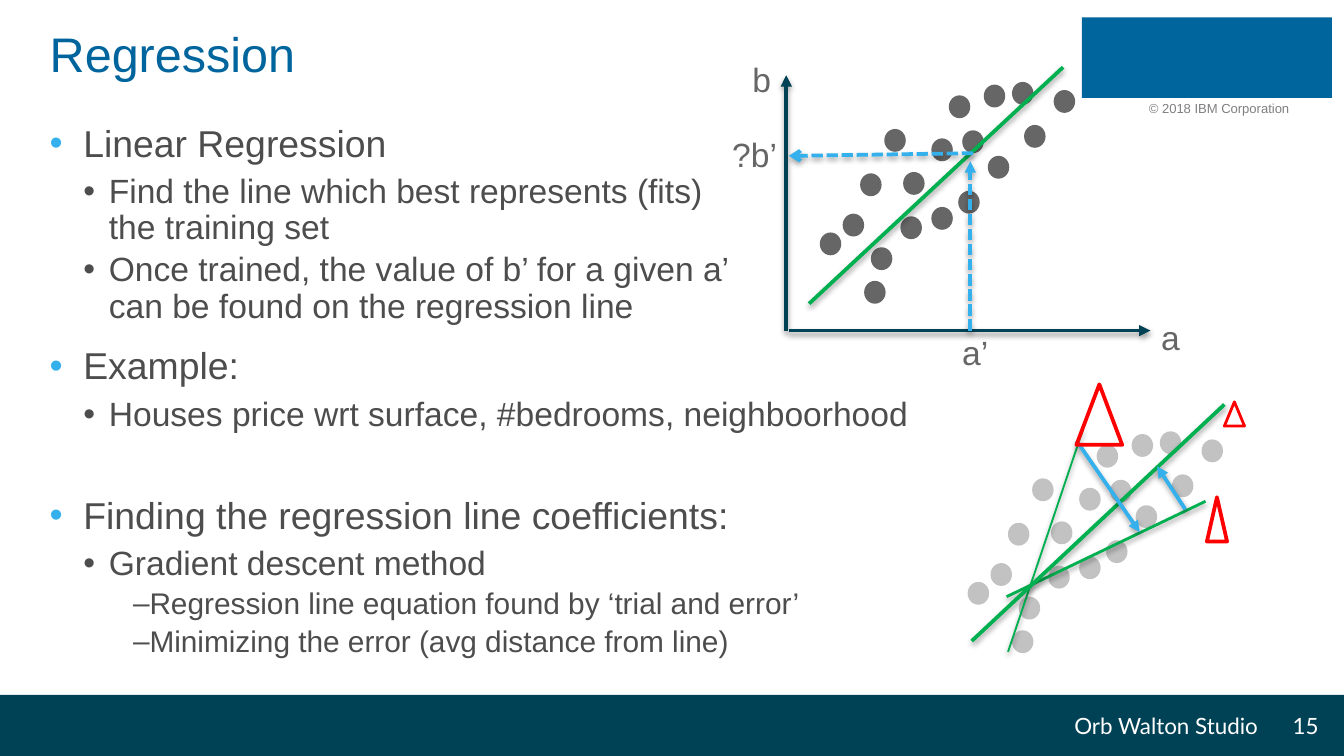
import pptx
import pptx.util
import pptx.dml.color
import pptx.enum.dml
import pptx.enum.shapes
import pptx.enum.text
import pptx.oxml
import pptx.oxml.ns

RGB = pptx.dml.color.RGBColor
SHAPE = pptx.enum.shapes.MSO_SHAPE
ALIGN = pptx.enum.text.PP_ALIGN
ANCHOR = pptx.enum.text.MSO_ANCHOR
DASHED = pptx.enum.dml.MSO_LINE.SQUARE_DOT

EMU_PER_PX = 9144
BLUE = RGB(0x00, 0x64, 0x9D)
NAVY = RGB(0x00, 0x42, 0x55)
SKY = RGB(0x34, 0xB1, 0xEC)
GREEN = RGB(0x00, 0xB0, 0x50)
RED = RGB(0xFF, 0x00, 0x00)
WHITE = RGB(0xFF, 0xFF, 0xFF)
BODY_GRAY = RGB(0x4D, 0x4D, 0x4D)
DARK_DOT = RGB(0x66, 0x66, 0x66)
PALE_DOT = RGB(0xC2, 0xC2, 0xC2)
NOTICE_GRAY = RGB(0x80, 0x80, 0x80)

SAMPLES = [
    (784, 67), (713, 142), (753, 61), (610, 173), (640, 129), (627, 159),
    (658, 96), (693, 103), (648, 184), (732, 63), (706, 71), (735, 116),
    (643, 209), (762, 93), (693, 154), (672, 128), (716, 97), (670, 161),
]
LEVELS = [
    dict(size=20, left=25, hanging=-25, before=12, after=2, bullet="•", bullet_color=SKY),
    dict(size=18, left=44, hanging=-19, before=3, bullet="•"),
    dict(size=16, left=44, hanging=18, before=3, bullet="–"),
]
OUTLINE = [
    (0, "Linear Regression", {"before": 0}),
    (1, "Find the line which best represents (fits)\vthe training set", {}),
    (1, "Once trained, the value of b’ for a given a’\vcan be found on the regression line", {}),
    (0, "Example:", {}),
    (1, "Houses price wrt surface, #bedrooms, neighboorhood", {}),
    (0, "Finding the regression line coefficients:", {"before": 34}),
    (1, "Gradient descent method", {}),
    (2, "Regression line equation found by ‘trial and error’", {}),
    (2, "Minimizing the error (avg distance from line)", {}),
]


def px(length):
    return pptx.util.Emu(round(length * EMU_PER_PX))


def add_xml(parent, xml):
    namespace = pptx.oxml.ns.nsdecls("a")
    parent.append(pptx.oxml.parse_xml(xml.replace(" ", f" {namespace} ", 1)))


def add_figure(slide, kind, box, fill=None, outline=None, weight=1):
    figure = slide.shapes.add_shape(kind, *map(px, box))
    figure.shadow.inherit = False
    if fill is None:
        figure.fill.background()
    else:
        figure.fill.solid()
        figure.fill.fore_color.rgb = fill
    if outline is None:
        figure.line.fill.background()
    else:
        figure.line.color.rgb = outline
        figure.line.width = pptx.util.Pt(weight)


def add_line(slide, start, end, color, weight=2, dash=None, head=None):
    kind = pptx.enum.shapes.MSO_CONNECTOR.STRAIGHT
    line = slide.shapes.add_connector(kind, *map(px, start + end))
    line.line.color.rgb = color
    line.line.width = pptx.util.Pt(weight)
    if dash is not None:
        line.line.dash_style = dash
    properties = line._element.spPr
    if head:
        add_xml(properties.find(pptx.oxml.ns.qn("a:ln")), f'<a:tailEnd type="{head}"/>')
    add_xml(properties, '<a:effectLst ><a:outerShdw blurRad="39370" dist="20320" dir="5400000" '
                        'rotWithShape="0"><a:srgbClr val="000000"><a:alpha val="38000"/>'
                        '</a:srgbClr></a:outerShdw></a:effectLst>')


def add_frame(slide, box, anchor=ANCHOR.TOP, left_inset=10):
    frame = slide.shapes.add_textbox(*map(px, box)).text_frame
    frame.word_wrap = True
    frame.vertical_anchor = anchor
    frame.margin_left = px(left_inset)
    frame.margin_right = px(10)
    frame.margin_top = frame.margin_bottom = px(5)
    return frame


def write(paragraph, text, size=18, color=DARK_DOT, font="Arial", align=ALIGN.LEFT, spacing=1.0,
          before=0, after=0, left=0, hanging=0, bullet=None, bullet_color=None):
    paragraph.text = text
    paragraph.alignment = align
    paragraph.line_spacing = spacing
    paragraph.space_before = pptx.util.Pt(before)
    paragraph.space_after = pptx.util.Pt(after)
    for run in paragraph.runs:
        run.font.size = pptx.util.Pt(size)
        run.font.name = font
        run.font.color.rgb = color
    if bullet:
        properties = paragraph._p.get_or_add_pPr()
        properties.set("marL", str(px(left)))
        properties.set("indent", str(px(hanging)))
        if bullet_color is not None:
            add_xml(properties, f'<a:buClr ><a:srgbClr val="{bullet_color}"/></a:buClr>')
        add_xml(properties, '<a:buFont typeface="Arial"/>')
        add_xml(properties, f'<a:buChar char="{bullet}"/>')


def add_label(slide, box, text, anchor=ANCHOR.TOP, left_inset=10, **text_format):
    write(add_frame(slide, box, anchor, left_inset).paragraphs[0], text, **text_format)


def add_outline(slide):
    frame = add_frame(slide, (37, 88, 930, 426), left_inset=0)
    for index, (level, text, changes) in enumerate(OUTLINE):
        paragraph = frame.add_paragraph() if index else frame.paragraphs[0]
        paragraph.level = level
        write(paragraph, text, color=BODY_GRAY, spacing=0.9, **{**LEVELS[level], **changes})


def add_samples(slide, color, dx=0, dy=0):
    for x, y in SAMPLES:
        add_figure(slide, SHAPE.OVAL, (x + dx, y + dy, 16, 17), fill=color)


def add_prediction_plot(slide):
    add_samples(slide, DARK_DOT)
    add_line(slide, (585, 246), (585, 56), NAVY, head="triangle")
    add_line(slide, (587, 246), (856, 246), NAVY, head="triangle")
    add_line(slide, (602, 226), (791, 50), GREEN)
    add_line(slide, (722, 246), (722, 120), SKY, dash=DASHED, head="triangle")
    add_line(slide, (724, 114), (587, 116), SKY, dash=DASHED, head="arrow")
    for x, y, width, text in [(854, 231, 31, "a"), (550, 39, 31, "b"),
                              (706, 242, 45, "a’"), (535, 95, 56, "?b’")]:
        add_label(slide, (x, y, width, 40), text)


def add_descent_plot(slide):
    add_samples(slide, PALE_DOT, 110, 260)
    add_line(slide, (749, 444), (897, 373), GREEN, weight=1.5)
    add_line(slide, (750, 485), (806, 319), GREEN, weight=1)
    add_line(slide, (723, 477), (911, 301), GREEN)
    add_line(slide, (801, 328), (848, 396), SKY, head="triangle")
    add_line(slide, (882, 379), (861, 347), SKY, head="triangle")
    for box, weight in [((801, 286, 34, 45), 2), ((898, 370, 15, 33), 2),
                        ((911, 299, 15, 18), 1.5)]:
        add_figure(slide, SHAPE.ISOSCELES_TRIANGLE, box, outline=RED, weight=weight)


def add_page_furniture(slide):
    add_figure(slide, SHAPE.RECTANGLE, (805, 13, 186, 60), fill=BLUE)
    add_label(slide, (845, 70, 128, 22), "© 2018 IBM Corporation", size=7, color=NOTICE_GRAY)
    add_figure(slide, SHAPE.RECTANGLE, (0, 517, 1000, 46), fill=NAVY)
    for box, text in [((700, 517, 246, 46), "Orb Walton Studio"), ((941, 517, 50, 46), "15")]:
        add_label(slide, box, text, anchor=ANCHOR.MIDDLE, size=12, color=WHITE,
                  font="Lato", align=ALIGN.RIGHT)


def main():
    deck = pptx.Presentation()
    deck.slide_width = px(1000)
    deck.slide_height = px(562.5)
    slide = deck.slides.add_slide(deck.slide_layouts[6])
    add_page_furniture(slide)
    add_label(slide, (37, 6, 771, 74), "Regression", anchor=ANCHOR.MIDDLE, left_inset=0,
              size=26, color=BLUE, spacing=0.85)
    add_outline(slide)
    add_prediction_plot(slide)
    add_descent_plot(slide)
    deck.save("out.pptx")


if __name__ == "__main__":
    main()
